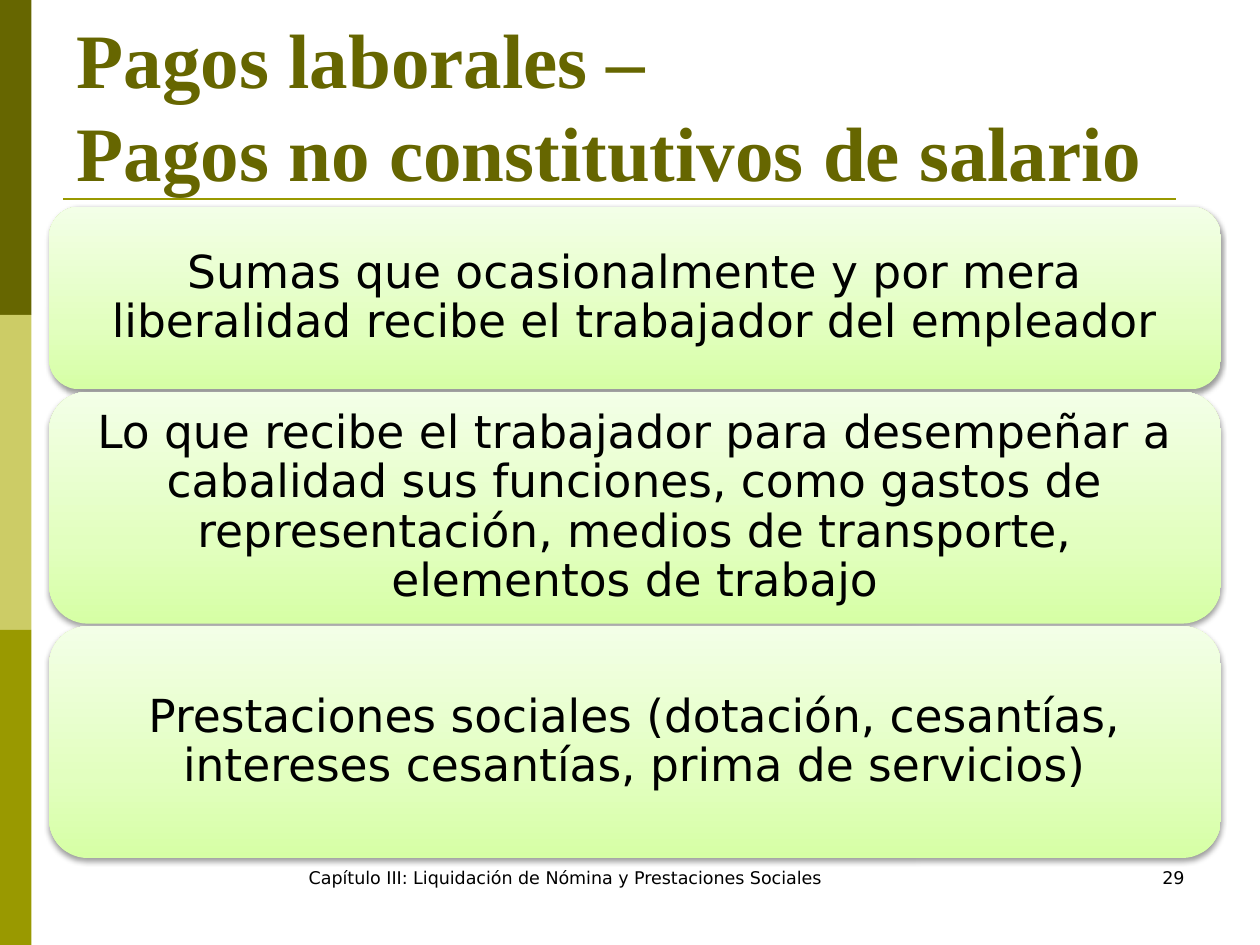
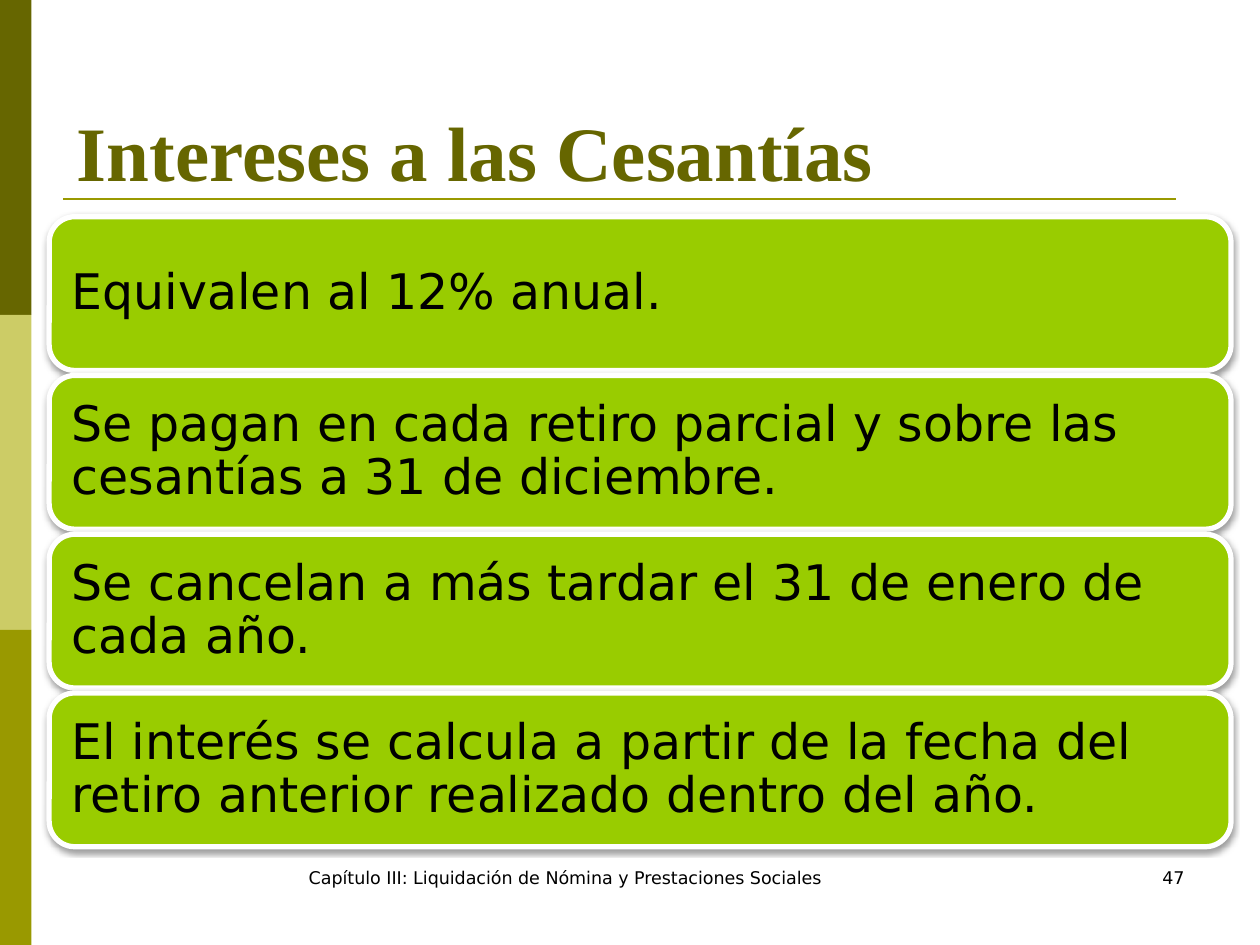
from copy import deepcopy
from dataclasses import dataclass

from lxml import etree
from pptx import Presentation
from pptx import util as u
from pptx.dml.color import RGBColor
from pptx.enum import shapes, text
from pptx.oxml.ns import qn


@dataclass(frozen=True)
class Theme:
    """Colours, fonts and type sizes shared by the slides."""
    dark: str = "666600"
    pale: str = "CCCC66"
    olive: str = "999900"
    lime: str = "99CC00"
    ink: str = "000000"
    white: str = "FFFFFF"
    gradient: tuple = ((0, "D6FFA5"), (0.35, "E2FFBF"), (1, "F3FFE7"))
    title_font: str = "Times New Roman"
    body_font: str = "DejaVu Sans"
    title_size: int = 44
    centred_size: int = 26
    left_size: int = 28
    footer_size: int = 10


THEME = Theme()
FOOTER = "Capítulo III: Liquidación de Nómina y Prestaciones Sociales"


def rgb(colour):
    """Turn a hex string into a colour."""
    return RGBColor.from_string(colour)


def inches(*values):
    """Convert several lengths to inches."""
    return [u.Inches(value) for value in values]


def style(para, size, align, font=THEME.body_font, colour=THEME.ink, bold=False):
    """Align a paragraph and format its runs."""
    para.alignment = align
    for span in para.runs:
        span.font.name = font
        span.font.size = u.Pt(size)
        span.font.bold = bold
        span.font.color.rgb = rgb(colour)


def add_shadow(shape):
    """Give a shape a soft shadow below it."""
    shape.shadow.inherit = False
    effects = shape._element.spPr.find(qn("a:effectLst"))
    shadow = etree.SubElement(
        effects, qn("a:outerShdw"), blurRad=str(u.Pt(3.1)), dist=str(u.Pt(1.6)),
        dir="5400000", rotWithShape="0")
    colour = etree.SubElement(shadow, qn("a:srgbClr"), val=THEME.ink)
    etree.SubElement(colour, qn("a:alpha"), val="38000")


def paint_gradient(shape):
    """Fill a card with the three-stop gradient, palest at the top."""
    shape.fill.gradient()
    shape.fill.gradient_angle = 90
    stop_list = shape._element.spPr.find(qn("a:gradFill")).find(qn("a:gsLst"))
    stop_list.append(deepcopy(stop_list[0]))
    for stop, (position, colour) in zip(shape.fill.gradient_stops, THEME.gradient):
        stop.position = position
        stop.color.rgb = rgb(colour)
    shape.line.fill.background()


def paint_lime(shape):
    """Fill a card with lime and outline it in white."""
    shape.fill.solid()
    shape.fill.fore_color.rgb = rgb(THEME.lime)
    shape.line.color.rgb = rgb(THEME.white)
    shape.line.width = u.Pt(3)


def add_side_bands(page, width, height):
    """Stack three equal colour bands down the left edge."""
    band_height = height / 3
    for index, colour in enumerate((THEME.dark, THEME.pale, THEME.olive)):
        band = page.shapes.add_shape(
            shapes.MSO_SHAPE.RECTANGLE, *inches(0, index * band_height, width, band_height))
        band.shadow.inherit = False
        band.fill.solid()
        band.fill.fore_color.rgb = rgb(colour)
        band.line.fill.background()


def add_title(page, wording, left, top, width, height):
    """Place the title and the rule beneath it."""
    title = page.shapes.title
    title.left, title.top, title.width, title.height = inches(left, top, width, height)
    frame = title.text_frame
    frame.text = wording
    frame.word_wrap = True
    frame.auto_size = text.MSO_AUTO_SIZE.NONE
    frame.vertical_anchor = text.MSO_ANCHOR.BOTTOM
    style(frame.paragraphs[0], THEME.title_size, text.PP_ALIGN.LEFT,
          THEME.title_font, THEME.dark, True)
    rule_y = top + height - 0.03
    rule = page.shapes.add_connector(
        shapes.MSO_CONNECTOR.STRAIGHT, *inches(0.5, rule_y, 9.33, rule_y))
    rule.line.color.rgb = rgb(THEME.olive)
    rule.line.width = u.Pt(1.5)
    etree.SubElement(rule._element.spPr, qn("a:effectLst"))


def add_footer(page, number, top):
    """Write the chapter name and the slide number."""
    for wording, left, width, align in (
            (FOOTER, 1.87, 5.23, text.PP_ALIGN.CENTER),
            (str(number), 7.17, 2.33, text.PP_ALIGN.RIGHT)):
        box = page.shapes.add_textbox(*inches(left, top, width, 0.5))
        box.text_frame.word_wrap = True
        box.text_frame.text = wording
        style(box.text_frame.paragraphs[0], THEME.footer_size, align)


def add_cards(page, cards, left, top, width, gap, paint, size, align, inset):
    """Stack rounded cards, given as wording and height, from the top down."""
    for wording, height in cards:
        card = page.shapes.add_shape(
            shapes.MSO_SHAPE.ROUNDED_RECTANGLE, *inches(left, top, width, height))
        paint(card)
        add_shadow(card)
        frame = card.text_frame
        frame.word_wrap = True
        frame.vertical_anchor = text.MSO_ANCHOR.MIDDLE
        frame.margin_left = frame.margin_right = u.Inches(inset)
        frame.margin_top = frame.margin_bottom = u.Inches(inset)
        frame.text = wording
        frame.paragraphs[0].line_spacing = 0.9
        style(frame.paragraphs[0], size, align)
        top += height + gap


def add_page(deck, title, number):
    """Add a slide with its bands, title and footer."""
    page = deck.slides.add_slide(deck.slide_layouts[5])
    add_side_bands(page, 0.25, 7.5)
    add_title(page, title, 0.51, 0.36, 9, 1.25)
    add_footer(page, number, 6.83)
    return page


def build_non_salary(deck):
    """Build the slide on payments that are not salary."""
    page = add_page(deck, "Pagos laborales –\vPagos no constitutivos de salario", 29)
    cards = (
        ("Sumas que ocasionalmente y por mera liberalidad recibe el trabajador "
         "del empleador", 1.45),
        ("Lo que recibe el trabajador para desempeñar a cabalidad sus funciones, "
         "como gastos de representación, medios de transporte, elementos de trabajo", 1.84),
        ("Prestaciones sociales (dotación, cesantías, intereses cesantías, "
         "prima de servicios)", 1.84),
    )
    add_cards(page, cards, 0.39, 1.64, 9.3, 0.02, paint_gradient,
              THEME.centred_size, text.PP_ALIGN.CENTER, 0.11)


def build_interest(deck):
    """Build the slide on interest on severance savings."""
    page = add_page(deck, "Intereses a las Cesantías", 47)
    wordings = (
        "Equivalen al 12% anual.",
        "Se pagan en cada retiro parcial y sobre las cesantías a 31 de diciembre.",
        "Se cancelan a más tardar el 31 de enero de cada año.",
        "El interés se calcula a partir de la fecha del retiro anterior realizado "
        "dentro del año.",
    )
    cards = [(wording, 1.22) for wording in wordings]
    add_cards(page, cards, 0.39, 1.72, 9.38, 0.04, paint_lime,
              THEME.left_size, text.PP_ALIGN.LEFT, 0.12)


def main():
    """Build and save the deck."""
    deck = Presentation()
    deck.slide_width, deck.slide_height = inches(10, 7.5)
    build_non_salary(deck)
    build_interest(deck)
    deck.save("out.pptx")


if __name__ == "__main__":
    main()
